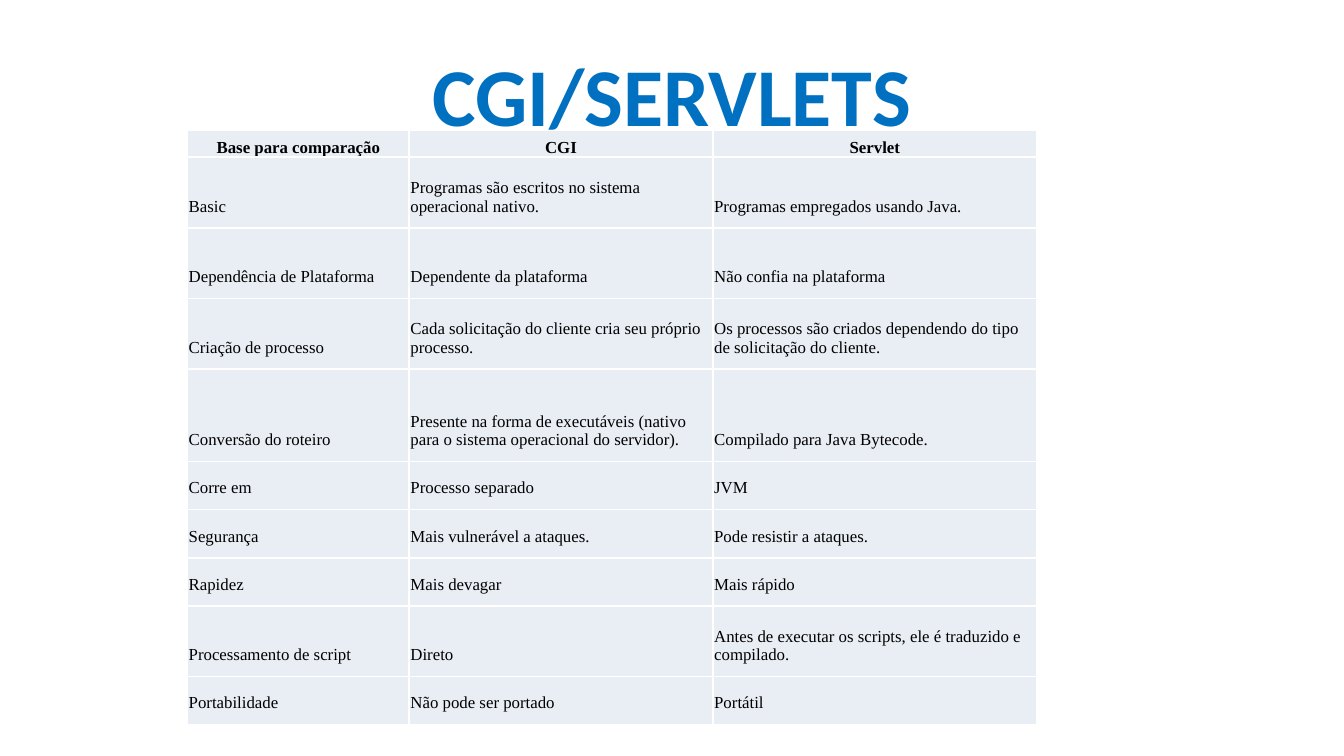
from dataclasses import dataclass

from lxml.etree import SubElement
from pptx import Presentation
from pptx.dml.color import RGBColor
from pptx.enum.text import MSO_ANCHOR, PP_ALIGN
from pptx.oxml.ns import qn
from pptx.slide import Slide
from pptx.table import _Cell
from pptx.text.text import _Paragraph
from pptx.util import Inches, Pt

# The slide is 16:9. Lengths below count cells of a grid with 1000 columns.
SLIDE_WIDTH = Inches(10)
SLIDE_HEIGHT = SLIDE_WIDTH * 9 // 16
GRID = SLIDE_WIDTH // 1000

BLUE = RGBColor(0x00, 0x70, 0xC0)
BLACK = RGBColor(0x00, 0x00, 0x00)
WHITE = RGBColor(0xFF, 0xFF, 0xFF)
PALE_BLUE = RGBColor(0xE9, 0xED, 0xF4)


@dataclass(frozen=True)
class TextStyle:
    """Look of one kind of text."""
    font: str
    size: int
    color: RGBColor
    bold: bool
    alignment: PP_ALIGN


@dataclass(frozen=True)
class ComparisonRow:
    """One table row: its height in grid cells and its three texts."""
    height: float
    basis: str
    cgi: str
    servlet: str


TITLE = TextStyle("Calibri", 44, BLUE, True, PP_ALIGN.CENTER)
HEADING = TextStyle("Times New Roman", 9, BLACK, True, PP_ALIGN.CENTER)
BODY = TextStyle("Times New Roman", 9, BLACK, False, PP_ALIGN.LEFT)

TABLE_LEFT, TABLE_TOP = 139.4, 97
COLUMN_WIDTHS = (165, 226, 241)
HEADER, SHORT, MEDIUM, TALL = 20, 35.8, 52.5, 69
ROWS = (
    ComparisonRow(HEADER, "Base para comparação", "CGI", "Servlet"),
    ComparisonRow(MEDIUM, "Basic", "Programas são escritos no sistema operacional nativo.",
                  "Programas empregados usando Java."),
    ComparisonRow(MEDIUM, "Dependência de Plataforma", "Dependente da plataforma",
                  "Não confia na plataforma"),
    ComparisonRow(MEDIUM, "Criação de processo",
                  "Cada solicitação do cliente cria seu próprio processo.",
                  "Os processos são criados dependendo do tipo de solicitação do cliente."),
    ComparisonRow(TALL, "Conversão do roteiro",
                  "Presente na forma de executáveis (nativo para o sistema operacional do servidor).",
                  "Compilado para Java Bytecode."),
    ComparisonRow(SHORT, "Corre em", "Processo separado", "JVM"),
    ComparisonRow(SHORT, "Segurança", "Mais vulnerável a ataques.", "Pode resistir a ataques."),
    ComparisonRow(SHORT, "Rapidez", "Mais devagar", "Mais rápido"),
    ComparisonRow(MEDIUM, "Processamento de script", "Direto",
                  "Antes de executar os scripts, ele é traduzido e compilado."),
    ComparisonRow(SHORT, "Portabilidade", "Não pode ser portado", "Portátil"),
)


def cells(count: float) -> int:
    """Turn a count of grid cells into a length."""
    return round(count * GRID)


def add_text(paragraph: _Paragraph, text: str, style: TextStyle) -> None:
    """Add one styled run to a paragraph."""
    paragraph.alignment = style.alignment
    run = paragraph.add_run()
    run.text = text
    run.font.name = style.font
    run.font.size = Pt(style.size)
    run.font.bold = style.bold
    run.font.color.rgb = style.color


def add_borders(cell: _Cell) -> None:
    """Draw a thin white line on every side of a cell."""
    properties = cell._tc.get_or_add_tcPr()
    for side in ("lnL", "lnR", "lnT", "lnB"):
        line = SubElement(properties, qn(f"a:{side}"), w=str(Pt(1)))
        fill = SubElement(line, qn("a:solidFill"))
        SubElement(fill, qn("a:srgbClr"), val=str(WHITE))


def fill_cell(cell: _Cell, text: str, is_header: bool) -> None:
    """Set the borders, fill, margins and text of a cell."""
    add_borders(cell)
    cell.fill.solid()
    cell.fill.fore_color.rgb = PALE_BLUE
    cell.vertical_anchor = MSO_ANCHOR.BOTTOM
    cell.margin_left = cell.margin_right = cells(1)
    cell.margin_top = cells(1 if is_header else 9)
    cell.margin_bottom = cells(0 if is_header else 9)
    add_text(cell.text_frame.paragraphs[0], text, HEADING if is_header else BODY)


def add_title(slide: Slide, text: str) -> None:
    """Add the centred slide title."""
    shape = slide.shapes.add_textbox(cells(50), cells(23), cells(900), cells(94))
    frame = shape.text_frame
    frame.word_wrap = True
    frame.vertical_anchor = MSO_ANCHOR.MIDDLE
    frame.margin_left = frame.margin_right = cells(5)
    frame.margin_top = frame.margin_bottom = cells(5)
    add_text(frame.paragraphs[0], text, TITLE)


def add_comparison(slide: Slide) -> None:
    """Add the table that compares CGI with servlets."""
    height = sum(row.height for row in ROWS)
    table = slide.shapes.add_table(
        len(ROWS), len(COLUMN_WIDTHS), cells(TABLE_LEFT), cells(TABLE_TOP),
        cells(sum(COLUMN_WIDTHS)), cells(height)).table
    table.horz_banding = False
    for column, width in zip(table.columns, COLUMN_WIDTHS):
        column.width = cells(width)
    for index, (table_row, row) in enumerate(zip(table.rows, ROWS)):
        table_row.height = cells(row.height)
        for cell, text in zip(table_row.cells, (row.basis, row.cgi, row.servlet)):
            fill_cell(cell, text, index == 0)


def main() -> None:
    """Build and save the presentation."""
    presentation = Presentation()
    presentation.slide_width = SLIDE_WIDTH
    presentation.slide_height = SLIDE_HEIGHT
    slide = presentation.slides.add_slide(presentation.slide_layouts[6])
    add_title(slide, "CGI/SERVLETS")
    add_comparison(slide)
    presentation.save("out.pptx")


main()
